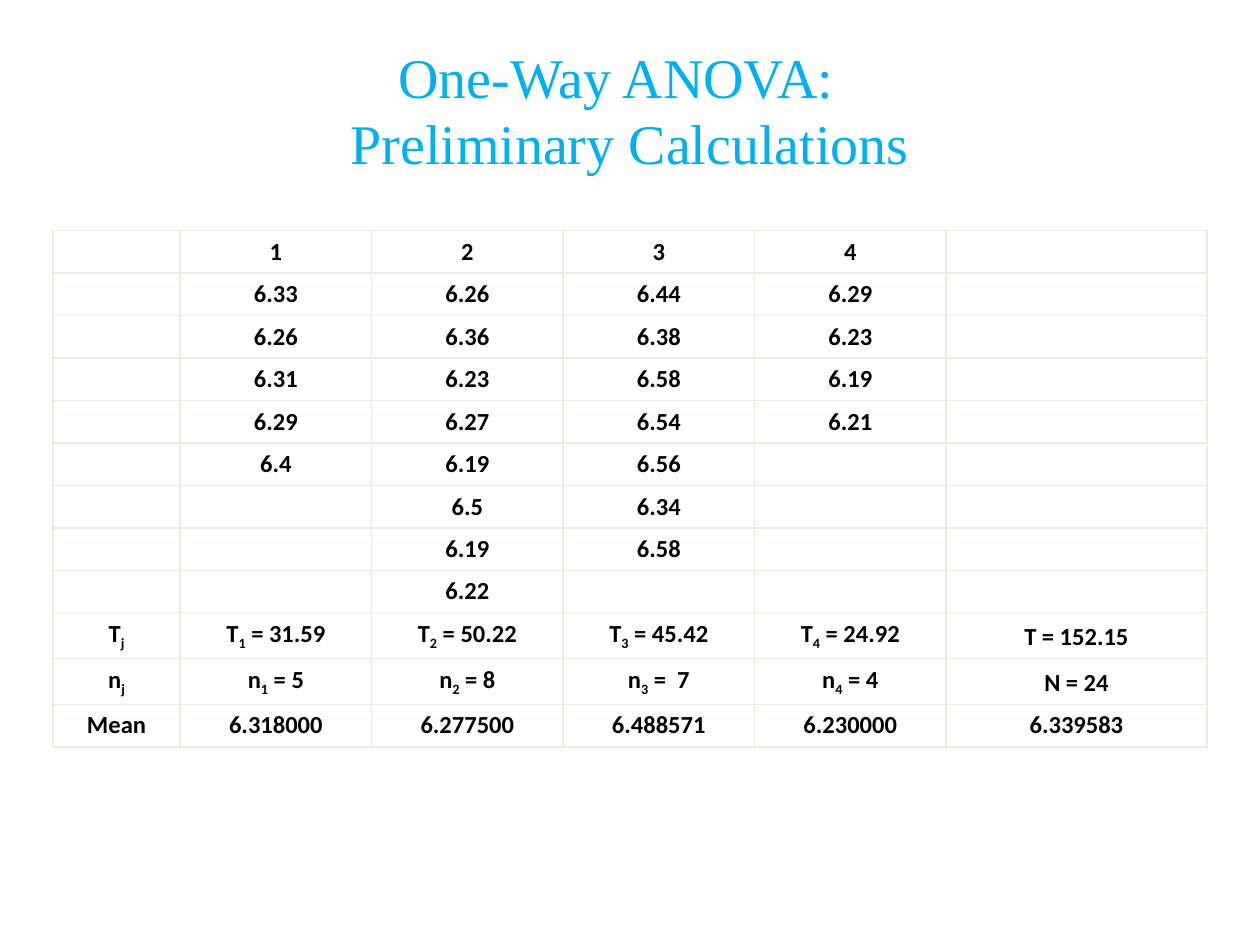
from lxml.etree import SubElement
from pptx import Presentation
from pptx.dml.color import RGBColor
from pptx.enum.text import MSO_ANCHOR, MSO_AUTO_SIZE, PP_ALIGN
from pptx.oxml.ns import qn
from pptx.util import Inches, Pt

SAMPLES = [
    ["6.33", "6.26", "6.31", "6.29", "6.4"],
    ["6.26", "6.36", "6.23", "6.27", "6.19", "6.5", "6.19", "6.22"],
    ["6.44", "6.38", "6.58", "6.54", "6.56", "6.34", "6.58"],
    ["6.29", "6.23", "6.19", "6.21"],
]
# An underscore lowers the one character that follows it.
SUMMARY = [
    ["T_j", "T_1 = 31.59", "T_2 = 50.22", "T_3 = 45.42", "T_4 = 24.92", "T = 152.15"],
    ["n_j", "n_1 = 5", "n_2 = 8", "n_3 =  7", "n_4 = 4", "N = 24"],
    ["Mean", "6.318000", "6.277500", "6.488571", "6.230000", "6.339583"],
]


def rgb(color):
    return RGBColor.from_string(color)


def add_text(p, text, size, font, color="000000", bold=False, subscript=False):
    r = p.add_run()
    r.text = text
    f = r.font
    f.size, f.name, f.bold = Pt(size), font, bold
    f.color.rgb = rgb(color)
    if subscript:
        r._r.get_or_add_rPr().set("baseline", "-25000")


def add_borders(cell, color, width):
    tc_pr = cell._tc.get_or_add_tcPr()
    for side in ("lnL", "lnR", "lnT", "lnB"):
        ln = SubElement(tc_pr, qn(f"a:{side}"), w=str(Pt(width)))
        fill = SubElement(ln, qn("a:solidFill"))
        SubElement(fill, qn("a:srgbClr"), val=color)


class Deck:
    title_style = dict(size=32, font="Times New Roman", color="00B0F0")
    cell_style = dict(size=14, font="Calibri", bold=True)
    border, background = "EEECE1", "FFFFFF"

    def __init__(self, width, height):
        self.prs = Presentation()
        self.prs.slide_width, self.prs.slide_height = Inches(width), Inches(height)
        self.s = self.prs.slides.add_slide(self.prs.slide_layouts[5])

    def x(self, percent):
        return round(self.prs.slide_width * percent / 100)

    def y(self, percent):
        return round(self.prs.slide_height * percent / 100)

    def title(self, text, left, top, width, height):
        sp = self.s.shapes.title
        sp.left, sp.top = self.x(left), self.y(top)
        sp.width, sp.height = self.x(width), self.y(height)
        tf = sp.text_frame
        tf.word_wrap, tf.auto_size = True, MSO_AUTO_SIZE.NONE
        tf.vertical_anchor, tf.margin_top = MSO_ANCHOR.TOP, Inches(0.09)
        p = tf.paragraphs[0]
        p.alignment, p.line_spacing = PP_ALIGN.CENTER, Pt(38)
        first, second = text.split("\n")
        add_text(p, first, **self.title_style)
        p.add_line_break()
        add_text(p, second, **self.title_style)

    def table(self, rows, left, top, widths, heights):
        frame = self.s.shapes.add_table(
            len(rows), len(widths), self.x(left), self.y(top),
            self.x(sum(widths)), self.y(sum(heights)))
        table = frame.table
        table.first_row = table.horz_banding = False
        for column, width in zip(table.columns, widths):
            column.width = self.x(width)
        for row, height, texts in zip(table.rows, heights, rows):
            row.height = self.y(height)
            for cell, text in zip(row.cells, texts):
                self.cell(cell, text)

    def cell(self, cell, text):
        add_borders(cell, self.border, 1)
        cell.fill.solid()
        cell.fill.fore_color.rgb = rgb(self.background)
        cell.vertical_anchor = MSO_ANCHOR.BOTTOM
        cell.margin_left = cell.margin_right = Inches(0.14)
        cell.margin_top = cell.margin_bottom = Inches(0.05)
        p = cell.text_frame.paragraphs[0]
        p.alignment = PP_ALIGN.CENTER
        base, _, rest = text.partition("_")
        for part, lowered in ((base, False), (rest[:1], True), (rest[1:], False)):
            if part:
                add_text(p, part, subscript=lowered, **self.cell_style)
        # Empty cells need the small size too, or they stretch their row.
        SubElement(p._p, qn("a:endParaRPr"), sz=str(self.cell_style["size"] * 100))


def sample_rows():
    """Header and observations, padded so that every group has equal length."""
    longest = max(map(len, SAMPLES))
    groups = [[str(number), *values] + [""] * (longest - len(values))
              for number, values in enumerate(SAMPLES, 1)]
    return [["", *values, ""] for values in zip(*groups)]


def main():
    deck = Deck(10, 7.5)
    deck.title("One-Way ANOVA:  \nPreliminary Calculations", 2.1, 3.33, 95.8, 14.53)
    observations = sample_rows()
    deck.table(observations + SUMMARY, 4.2, 24.4,
               widths=[10.1] + [15.2] * len(SAMPLES) + [20.7],
               heights=[4.4] * len(observations) + [4.13] * len(SUMMARY))
    deck.prs.save("out.pptx")


if __name__ == "__main__":
    main()
